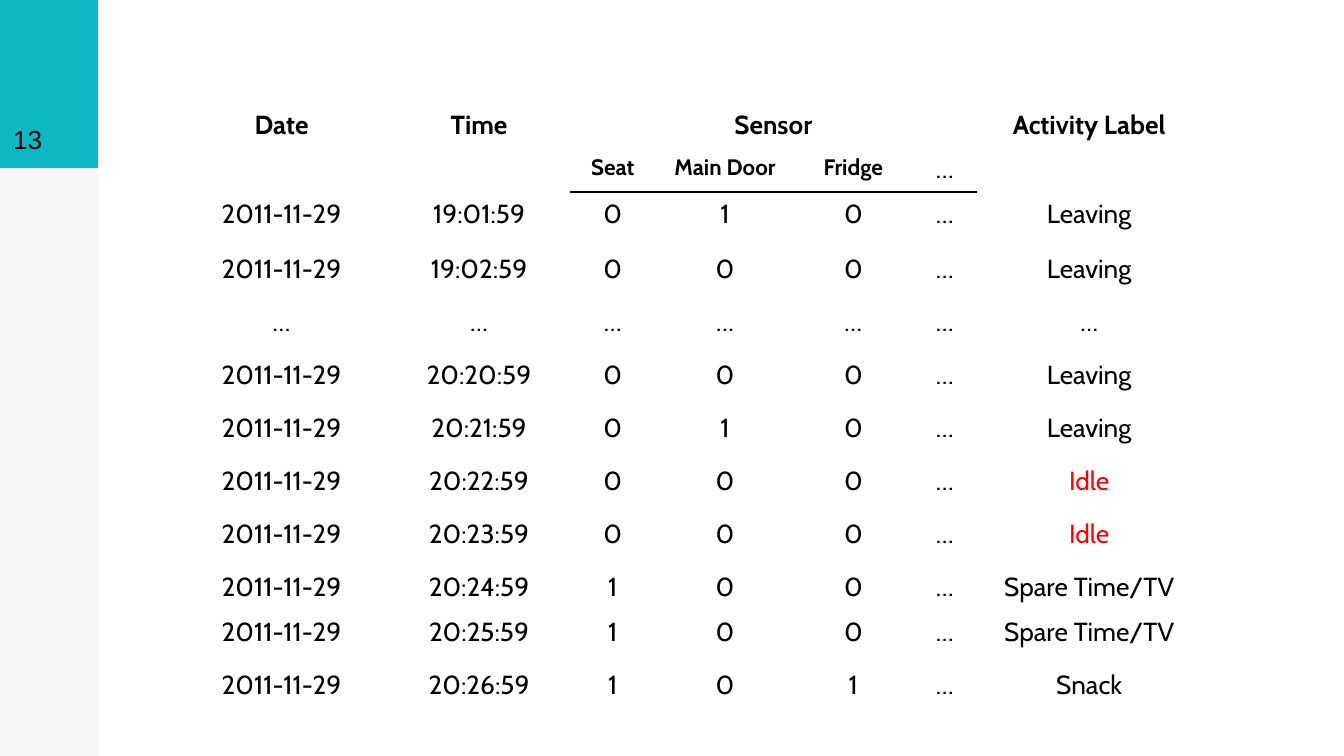
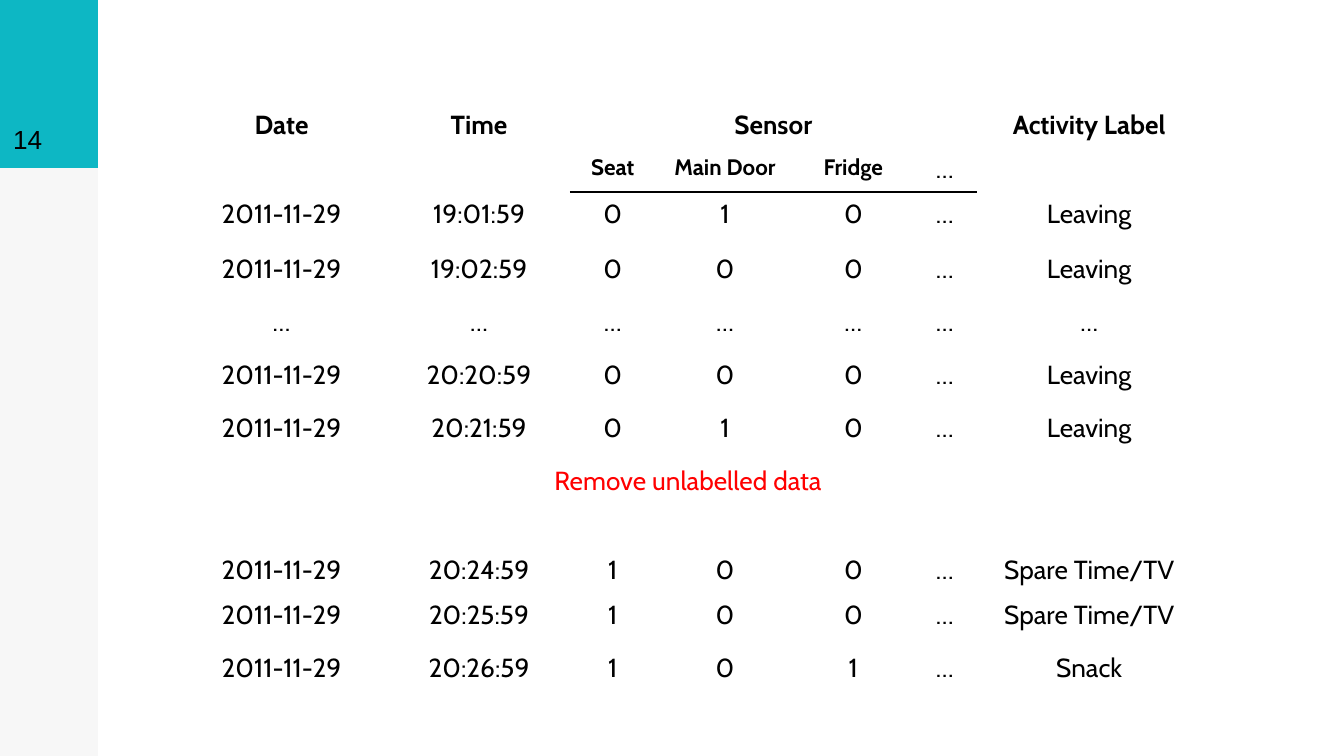
from dataclasses import dataclass

from lxml.etree import SubElement
from pptx import Presentation
from pptx.dml.color import RGBColor
from pptx.enum.shapes import MSO_SHAPE
from pptx.enum.text import MSO_ANCHOR, PP_ALIGN
from pptx.oxml import parse_xml
from pptx.oxml.ns import nsdecls, qn
from pptx.slide import Slide
from pptx.table import Table, _Cell
from pptx.util import Inches, Pt


@dataclass(frozen=True)
class Theme:
    black: str = "000000"
    accent: str = "0DB7C4"
    alert: str = "FF0000"
    body_font: str = "Cabin"
    number_font: str = "Arial"
    body_size: int = 14
    sensor_size: int = 12
    rule_width: int = 1
    plain_table: str = "{2D5ABB26-0587-4C30-8999-92F81FD0307C}"


@dataclass(frozen=True)
class Band:
    height: float
    color: str
    alpha: int = 100


ROW_HEIGHT = 1 / 2.54


@dataclass(frozen=True)
class Reading:
    date: str
    time: str
    seat: str
    door: str
    fridge: str
    activity: str
    height: float = ROW_HEIGHT
    alert: bool = False

    def values(self) -> list[str]:
        return [self.date, self.time, self.seat, self.door, self.fridge, DOTS, self.activity]


@dataclass(frozen=True)
class Notice:
    message: str
    height: float


Row = Reading | Notice

THEME = Theme()
SLIDE_WIDTH = 10
SLIDE_HEIGHT = SLIDE_WIDTH * 9 / 16
BAND_WIDTH, ACCENT_HEIGHT = 0.73, 1.25
BANDS = [Band(SLIDE_HEIGHT, THEME.black, 3), Band(ACCENT_HEIGHT, THEME.accent)]

DOTS = "…"
DAY = "2011-11-29"
COLUMN_WIDTHS = [1.59, 1.35, 0.64, 1.03, 0.88, 0.48, 1.67]
HEADER_HEIGHTS = [0.31, 0.31]
TALL_HEADERS = {0: "Date", 1: "Time", 6: "Activity Label"}
SENSORS = {2: "Seat", 3: "Main Door", 4: "Fridge", 5: DOTS}
SENSOR_RULES = {1: "lnB", 2: "lnT"}

BEFORE_GAP = [
    Reading(DAY, "19:01:59", "0", "1", "0", "Leaving", height=0.41),
    Reading(DAY, "19:02:59", "0", "0", "0", "Leaving"),
    Reading(DOTS, DOTS, DOTS, DOTS, DOTS, DOTS),
    Reading(DAY, "20:20:59", "0", "0", "0", "Leaving"),
    Reading(DAY, "20:21:59", "0", "1", "0", "Leaving"),
]
IDLE = [Reading(DAY, time, "0", "0", "0", "Idle", alert=True)
        for time in ("20:22:59", "20:23:59")]
REMOVED = [Notice("Remove unlabelled data", 0.66)]
AFTER_GAP = [
    Reading(DAY, "20:24:59", "1", "0", "0", "Spare Time/TV", height=0.34),
    Reading(DAY, "20:25:59", "1", "0", "0", "Spare Time/TV"),
    Reading(DAY, "20:26:59", "1", "0", "1", "Snack"),
]
LOGS: dict[int, list[Row]] = {
    13: BEFORE_GAP + IDLE + AFTER_GAP,
    14: BEFORE_GAP + REMOVED + AFTER_GAP,
}


def draw_band(slide: Slide, band: Band) -> None:
    stripe = slide.shapes.add_shape(
        MSO_SHAPE.RECTANGLE, 0, 0, Inches(BAND_WIDTH), Inches(band.height))
    stripe.shadow.inherit = False
    stripe.line.fill.background()
    stripe.fill.solid()
    stripe.fill.fore_color.rgb = RGBColor.from_string(band.color)
    if band.alpha < 100:
        color = stripe._element.spPr.find(f".//{qn('a:srgbClr')}")
        SubElement(color, qn("a:alpha")).set("val", str(band.alpha * 1000))


def draw_page_number(slide: Slide, number: int) -> None:
    page = slide.shapes.add_textbox(0, 0, Inches(BAND_WIDTH), Inches(ACCENT_HEIGHT))
    frame = page.text_frame
    frame.word_wrap = True
    frame.vertical_anchor = MSO_ANCHOR.BOTTOM
    frame.margin_left = frame.margin_right = Inches(0.1)
    frame.margin_top = frame.margin_bottom = Inches(0.1)
    frame.text = str(number)
    font = frame.paragraphs[0].runs[0].font
    font.name = THEME.number_font
    font.size = Pt(THEME.body_size)
    font.color.rgb = RGBColor.from_string(THEME.black)


def write(cell: _Cell, text: str, color: str = THEME.black,
          size: int = THEME.body_size, bold: bool = False) -> None:
    paragraph = cell.text_frame.paragraphs[0]
    paragraph.text = text
    paragraph.alignment = PP_ALIGN.CENTER
    font = paragraph.runs[0].font
    font.name = THEME.body_font
    font.size = Pt(size)
    font.bold = bold
    font.color.rgb = RGBColor.from_string(color)


def set_borders(cell: _Cell, ruled_side: str | None) -> None:
    properties = cell._tc.get_or_add_tcPr()
    ink = f'<a:solidFill><a:srgbClr val="{THEME.black}"/></a:solidFill>'
    for position, side in enumerate(("lnL", "lnR", "lnT", "lnB")):
        paint = ink if side == ruled_side else "<a:noFill/>"
        properties.insert(position, parse_xml(
            f'<a:{side} {nsdecls("a")} w="{Pt(THEME.rule_width)}">{paint}</a:{side}>'))


def style_cells(table: Table) -> None:
    for index, row in enumerate(table.rows):
        for column, cell in enumerate(row.cells):
            cell.fill.background()
            set_borders(cell, SENSOR_RULES.get(index) if column in SENSORS else None)


def fill_header(table: Table) -> None:
    for column, heading in TALL_HEADERS.items():
        table.cell(0, column).merge(table.cell(1, column))
        write(table.cell(0, column), heading, bold=True)
    first, last = min(SENSORS), max(SENSORS)
    table.cell(0, first).merge(table.cell(0, last))
    write(table.cell(0, first), "Sensor", bold=True)
    for column, sensor in SENSORS.items():
        named = sensor != DOTS
        size = THEME.sensor_size if named else THEME.body_size
        write(table.cell(1, column), sensor, size=size, bold=named)


def fill_row(table: Table, index: int, row: Row) -> None:
    last = len(COLUMN_WIDTHS) - 1
    if isinstance(row, Notice):
        table.cell(index, 0).merge(table.cell(index, last))
        write(table.cell(index, 0), row.message, THEME.alert)
        return
    for column, value in enumerate(row.values()):
        color = THEME.alert if row.alert and column == last else THEME.black
        write(table.cell(index, column), value, color)


def draw_log(slide: Slide, log: list[Row]) -> None:
    heights = HEADER_HEIGHTS + [row.height for row in log]
    table = slide.shapes.add_table(
        len(heights), len(COLUMN_WIDTHS), Inches(1.3), Inches(0.76),
        Inches(sum(COLUMN_WIDTHS)), Inches(sum(heights))).table
    table.first_row = table.horz_banding = False
    table._tbl.tblPr.find(qn("a:tableStyleId")).text = THEME.plain_table
    for column, width in zip(table.columns, COLUMN_WIDTHS):
        column.width = Inches(width)
    for row, height in zip(table.rows, heights):
        row.height = Inches(height)
    style_cells(table)
    fill_header(table)
    for index, row in enumerate(log, start=len(HEADER_HEIGHTS)):
        fill_row(table, index, row)


def main() -> None:
    deck = Presentation()
    deck.slide_width = Inches(SLIDE_WIDTH)
    deck.slide_height = Inches(SLIDE_HEIGHT)
    for number, log in LOGS.items():
        slide = deck.slides.add_slide(deck.slide_layouts[6])
        for band in BANDS:
            draw_band(slide, band)
        draw_page_number(slide, number)
        draw_log(slide, log)
    deck.save("out.pptx")


if __name__ == "__main__":
    main()
